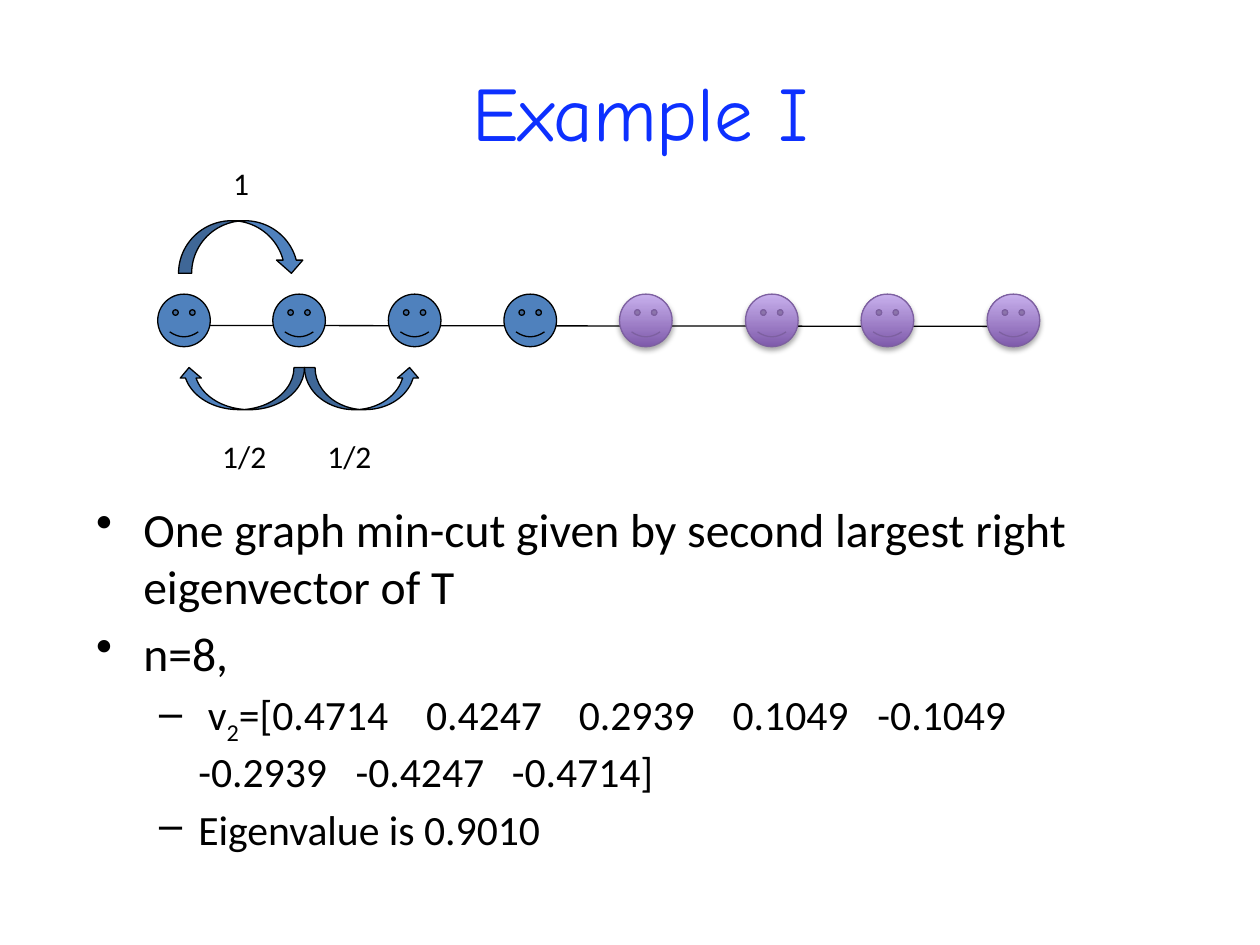
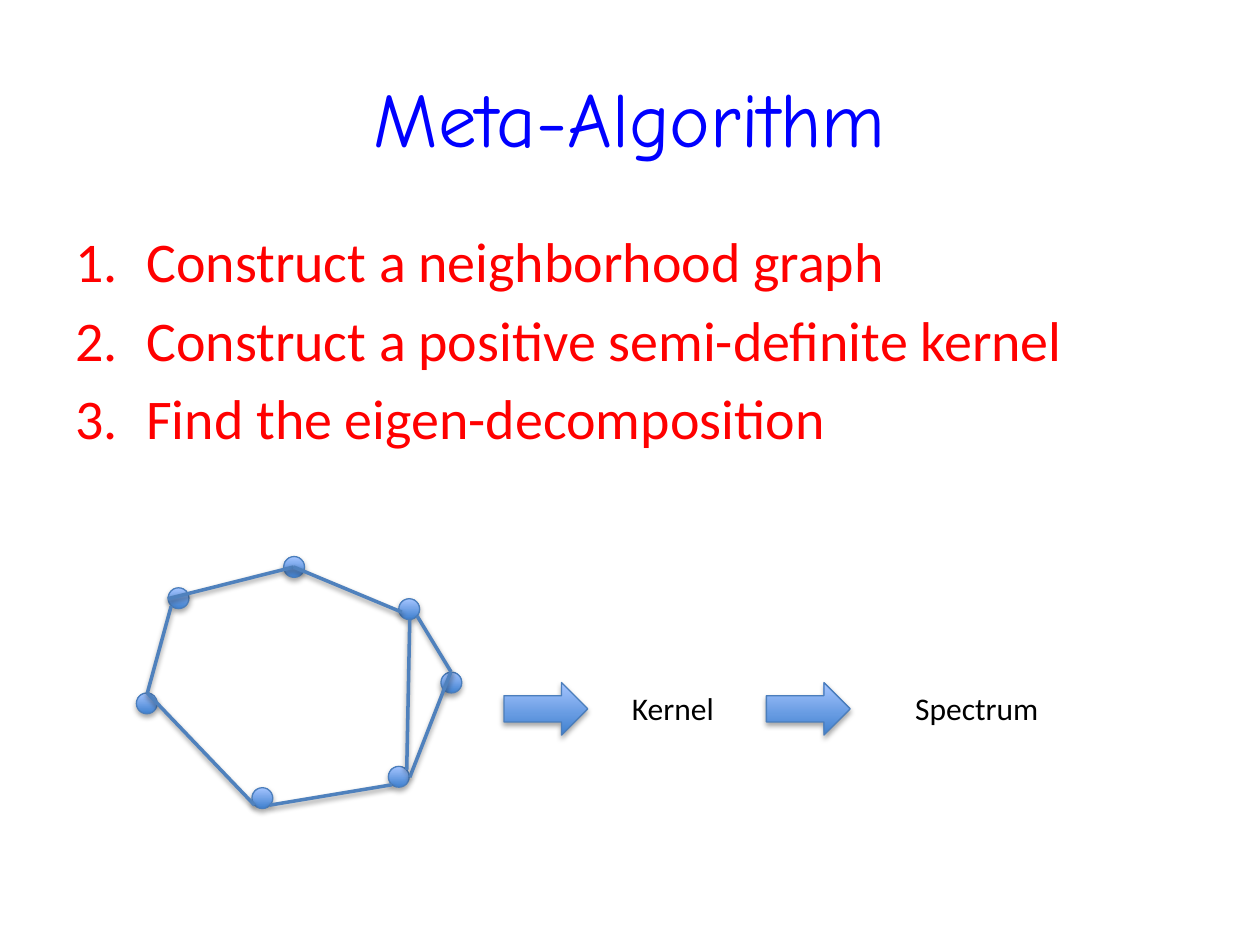
import dataclasses

import lxml.etree
import pptx
import pptx.dml.color
import pptx.enum.shapes
import pptx.enum.text
import pptx.oxml
import pptx.oxml.ns
import pptx.util

Cm = pptx.util.Cm
Pt = pptx.util.Pt
RGB = pptx.dml.color.RGBColor.from_string
SHAPE = pptx.enum.shapes.MSO_SHAPE
STRAIGHT = pptx.enum.shapes.MSO_CONNECTOR.STRAIGHT
ALIGN = pptx.enum.text.PP_ALIGN
ANCHOR = pptx.enum.text.MSO_ANCHOR
qn = pptx.oxml.ns.qn


@dataclasses.dataclass(frozen=True)
class Theme:
    title_font: str = "Comic Neue"
    body_font: str = "Calibri"
    title_size: float = 44
    step_size: float = 32
    point_size: float = 27.2
    detail_size: float = 23.8
    label_size: float = 18
    black: str = "000000"
    red: str = "FF0000"
    example_blue: str = "0D30FF"
    title_blue: str = "0000FF"
    blue: str = "4F81BD"
    blue_edge: str = "4B7EBC"
    blue_shade: tuple = ("3F80CE", "A4C4FF")
    purple_edge: str = "7D60A0"
    purple_shade: tuple = ("7F5BAB", "C8B0ED")
    thin: float = 0.75
    thick: float = 2


theme = Theme()


def write(text, *, slide=None, box=None, frame=None, size=theme.label_size, color=theme.black,
          font=theme.body_font, align=ALIGN.LEFT, anchor=ANCHOR.TOP,
          marker=None, indent=0, hang=0, tabs=()):
    """Write one paragraph in a new box or an existing frame; |x| is a subscript, \\v a line break."""
    if frame is None:
        frame = slide.shapes.add_textbox(*map(Cm, box)).text_frame
        frame.word_wrap = True
        frame.vertical_anchor = anchor
        paragraph = frame.paragraphs[0]
    else:
        paragraph = frame.add_paragraph()
        paragraph.space_before = Pt(0.2 * size)
    paragraph.alignment = align
    properties = paragraph._p.get_or_add_pPr()
    if marker:
        properties.set("marL", str(Cm(indent)))
        properties.set("indent", str(-Cm(hang)))
        if marker == "1.":
            lxml.etree.SubElement(properties, qn("a:buAutoNum"), type="arabicPeriod")
        else:
            lxml.etree.SubElement(properties, qn("a:buChar"), char=marker)
    if tabs:
        stops = lxml.etree.SubElement(properties, qn("a:tabLst"))
        for stop in tabs:
            lxml.etree.SubElement(stops, qn("a:tab"), pos=str(Cm(stop)), algn="l")
    for row, line in enumerate(text.split("\v")):
        if row:
            paragraph.add_line_break()
        for part, words in enumerate(line.split("|")):
            run = paragraph.add_run()
            run.text = words
            run.font.name = font
            run.font.size = Pt(size)
            run.font.color.rgb = RGB(color)
            if part % 2:
                run._r.get_or_add_rPr().set("baseline", "-25000")
    return frame


def paint(item, edge, width=theme.thin, fill=None, shade=None, shadow=None):
    """Set line, flat or shaded fill, and an optional (distance, opacity) shadow."""
    item.line.color.rgb = RGB(edge)
    item.line.width = Pt(width)
    if fill:
        item.fill.solid()
        item.fill.fore_color.rgb = RGB(fill)
    if shade:
        item.fill.gradient()
        item.fill.gradient_angle = 90
        for stop, color in zip(item.fill.gradient_stops, shade):
            stop.color.rgb = RGB(color)
    effects = lxml.etree.SubElement(item._element.spPr, qn("a:effectLst"))
    if shadow:
        distance, opacity = shadow
        outer = lxml.etree.SubElement(effects, qn("a:outerShdw"), blurRad=str(Pt(3.1)),
                                      dist=str(Pt(distance)), dir="5400000", rotWithShape="0")
        black = lxml.etree.SubElement(outer, qn("a:srgbClr"), val=theme.black)
        lxml.etree.SubElement(black, qn("a:alpha"), val=str(opacity * 1000))


shape_shadow = (1.8, 35)
line_shadow = (1.6, 38)
title_style = dict(size=theme.title_size, font=theme.title_font,
                   align=ALIGN.CENTER, anchor=ANCHOR.MIDDLE)

deck = pptx.Presentation()
deck.slide_width, deck.slide_height = Cm(25.4), Cm(19.05)
blank = deck.slide_layouts[6]

# Slide 1: random walk on a chain of eight nodes
example = deck.slides.add_slide(blank)
point = dict(size=theme.point_size, marker="•", indent=0.95, hang=0.95)
detail = dict(size=theme.detail_size, marker="–", indent=2.06, hang=0.79)
findings = write("One graph min-cut given by second largest right eigenvector of T",
                 slide=example, box=(1.69, 9.95, 21.59, 6.56), **point)
write("n=8,", frame=findings, **point)
write(" v|2|=[0.4714\t0.4247\t0.2939\t0.1049\t-0.1049\v-0.2939\t-0.4247\t-0.4714]",
      frame=findings, tabs=(5.23, 6.65, 8.38, 9.73, 12.83, 15.75), **detail)
write("Eigenvalue is 0.9010", frame=findings, **detail)
write("Example I", slide=example, box=(2.12, 0.64, 21.59, 3.18),
      color=theme.example_blue, **title_style)

# Chain and its two clusters
chain = example.shapes.add_connector(STRAIGHT, Cm(3.6), Cm(6.56), Cm(20.75), Cm(6.58))
paint(chain, theme.black)
blue_cluster = dict(edge=theme.black, fill=theme.blue)
purple_cluster = dict(edge=theme.purple_edge, shade=theme.purple_shade, shadow=shape_shadow)
for cluster, lefts in ((blue_cluster, (3.18, 5.5, 7.83, 10.16)),
                       (purple_cluster, (12.49, 15.03, 17.36, 19.9))):
    for left in lefts:
        face = example.shapes.add_shape(SHAPE.SMILEY_FACE, Cm(left), Cm(5.93), Cm(1.06), Cm(1.06))
        paint(face, **cluster)

# Transition arrows and probabilities
for kind, box, flipped in (
        (SHAPE.CURVED_DOWN_ARROW, (3.6, 4.45, 2.54, 1.06), False),
        (SHAPE.CURVED_UP_ARROW, (3.6, 7.41, 2.54, 0.85), True),
        (SHAPE.CURVED_UP_ARROW, (6.14, 7.41, 2.33, 0.85), False)):
    jump = example.shapes.add_shape(kind, *map(Cm, box))
    paint(jump, **blue_cluster)
    if flipped:
        jump._element.spPr.xfrm.set("flipH", "1")
for probability, box in (("1", (4.45, 3.18, 0.85, 2.31)),
                         ("1/2", (4.23, 8.69, 1.69, 1.3)),
                         ("1/2", (6.35, 8.69, 1.69, 1.3))):
    write(probability, slide=example, box=box)

# Slide 2: the three steps
algorithm = deck.slides.add_slide(blank)
write("Meta-Algorithm", slide=algorithm, box=(1.27, 0.76, 22.86, 3.18),
      color=theme.title_blue, **title_style)
steps = None
for step in ("Construct a neighborhood graph",
             "Construct a positive semi-definite kernel",
             "Find the eigen-decomposition"):
    steps = write(step, slide=algorithm, box=(1.27, 4.45, 22.86, 12.57), frame=steps,
                  size=theme.step_size, color=theme.red, marker="1.", indent=1.43, hang=1.43)

# Neighborhood graph
blue_shaded = dict(edge=theme.blue_edge, shade=theme.blue_shade, shadow=shape_shadow)
for left, top in ((3.39, 11.85), (5.72, 11.22), (8.04, 12.07), (2.75, 13.97),
                  (5.08, 15.88), (7.83, 15.45), (8.89, 13.55)):
    node = algorithm.shapes.add_shape(SHAPE.FLOWCHART_CONNECTOR,
                                      Cm(left), Cm(top), Cm(0.42), Cm(0.42))
    paint(node, **blue_shaded)
for ends in ((3.38, 12.07, 5.92, 11.43), (3.45, 12.22, 2.97, 13.97),
             (2.97, 13.97, 5.13, 16.23), (5.92, 11.43, 8.1, 12.34),
             (8.41, 12.42, 9.09, 13.54), (9.09, 13.54, 8.26, 15.67),
             (7.9, 15.82, 5.44, 16.23), (8.26, 12.5, 8.2, 15.52)):
    neighbors = algorithm.shapes.add_connector(STRAIGHT, *map(Cm, ends))
    paint(neighbors, theme.blue, theme.thick, shadow=line_shadow)

# Graph to kernel to spectrum
for arrow_left, stage, stage_left, stage_width in ((10.16, "Kernel", 12.49, 2.36),
                                                   (15.45, "Spectrum", 18.2, 3.25)):
    arrow = algorithm.shapes.add_shape(SHAPE.RIGHT_ARROW,
                                       Cm(arrow_left), Cm(13.76), Cm(1.69), Cm(1.06))
    paint(arrow, **blue_shaded)
    write(stage, slide=algorithm, box=(stage_left, 13.76, stage_width, 1.02))

deck.save("out.pptx")
